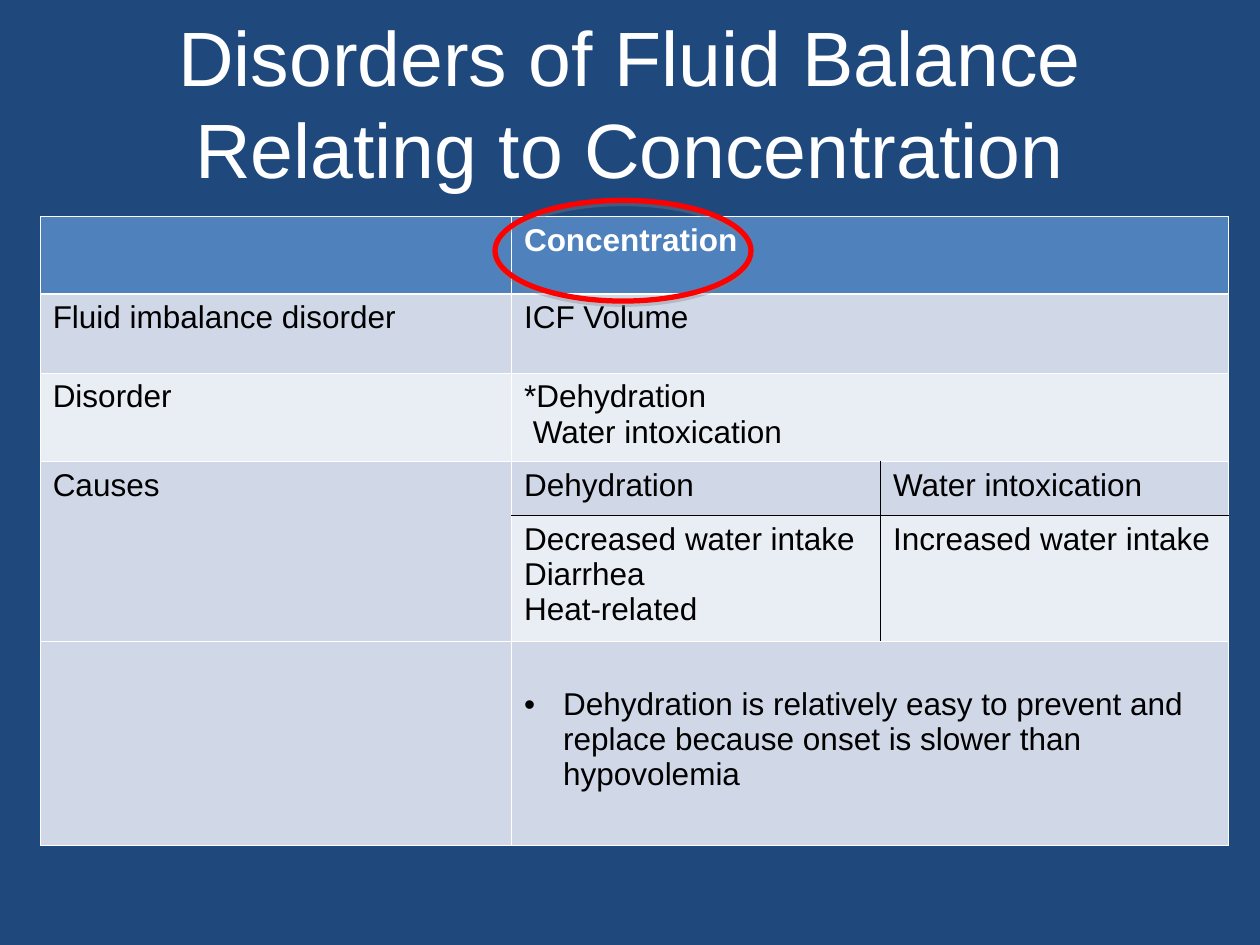
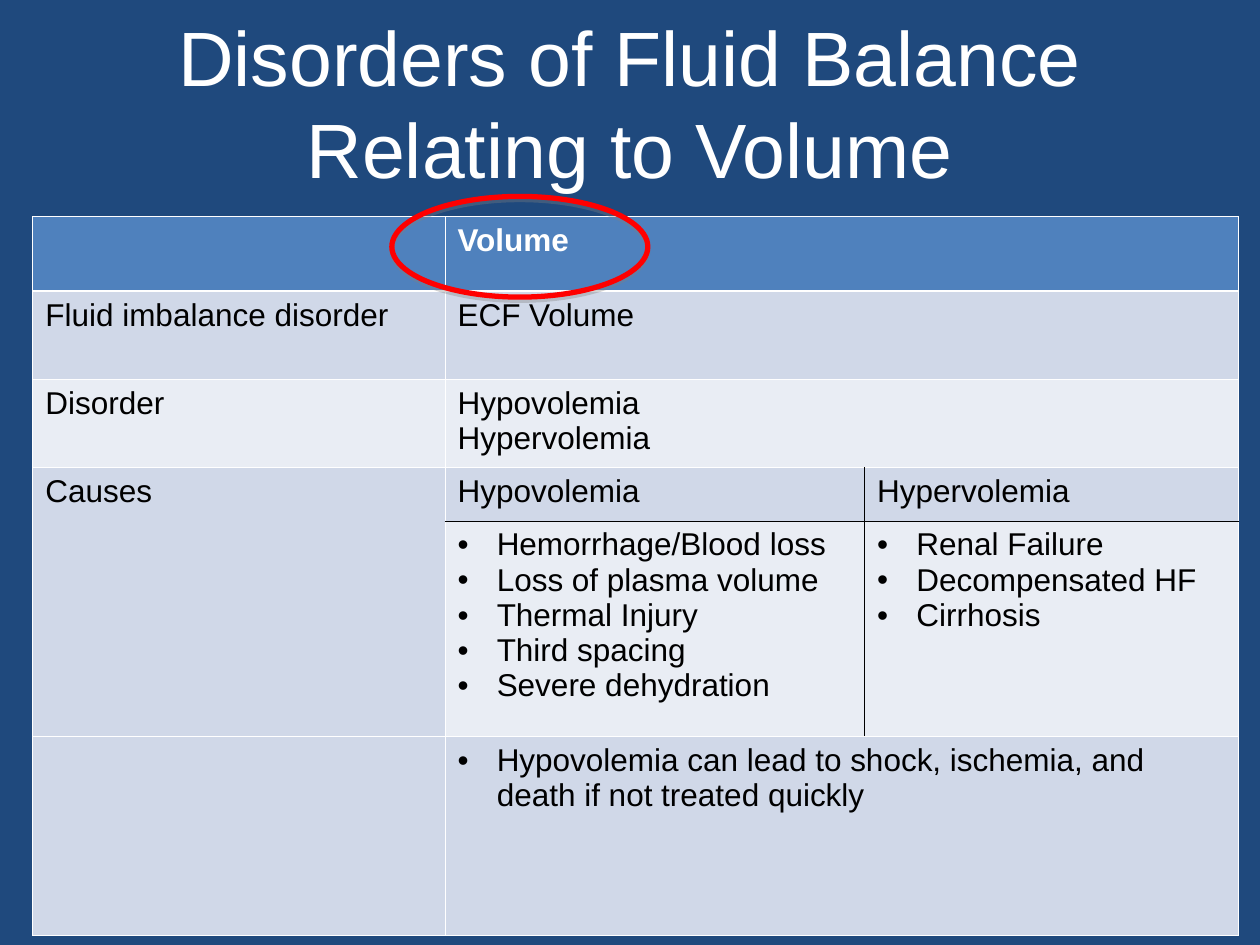
from lxml import etree
from pptx import Presentation
from pptx.dml.color import RGBColor
from pptx.enum.shapes import MSO_SHAPE
from pptx.enum.text import MSO_ANCHOR, MSO_AUTO_SIZE, PP_ALIGN
from pptx.oxml.ns import qn
from pptx.util import Cm, Pt

OVAL = MSO_SHAPE.OVAL
MIDDLE = MSO_ANCHOR.MIDDLE
NO_FIT = MSO_AUTO_SIZE.NONE
CENTER = PP_ALIGN.CENTER

FONT = "Arial"
NAVY, BLUE, WHITE, BLACK = "1F497D", "4F81BD", "FFFFFF", "000000"
RED, GREY = "FF0000", "808080"
BANDS = ("D0D8E8", "E9EDF4")
TITLE_BOX = (1.27, 0.46, 22.86, 3.18)
TABLE_TOP = 4.37
OVAL_SIZE = (5.16, 2.03)
INDENT = 0.79
MERGES = [((0, 1), (0, 2)), ((1, 1), (1, 2)), ((2, 1), (2, 2)),
          ((3, 0), (4, 0)), ((5, 1), (5, 2))]

SLIDES = [
    {
        "title": "Disorders of Fluid Balance Relating to Concentration",
        "left": 0.81,
        "cols": [9.5, 7.44, 7.01],
        "rows": [1.55, 1.6, 1.78, 1.09, 2.54, 4.11],
        "cells": {
            (0, 1): ["Concentration"],
            (1, 0): ["Fluid imbalance disorder"],
            (1, 1): ["ICF Volume"],
            (2, 0): ["Disorder"],
            (2, 1): ["*Dehydration", " Water intoxication"],
            (3, 0): ["Causes"],
            (3, 1): ["Dehydration"],
            (3, 2): ["Water intoxication"],
            (4, 1): ["Decreased water intake", "Diarrhea", "Heat-related"],
            (4, 2): ["Increased water intake"],
            (5, 1): ["Dehydration is relatively easy to prevent and replace "
                     "because onset is slower than hypovolemia"],
        },
        "bulleted": [(5, 1)],
        "note_margin": 0.91,
        "oval": (9.98, 4.04),
    },
    {
        "title": "Disorders of Fluid Balance Relating to Volume",
        "left": 0.66,
        "cols": [8.31, 8.46, 7.54],
        "rows": [1.5, 1.78, 1.78, 1.07, 4.34, 4.01],
        "cells": {
            (0, 1): ["Volume"],
            (1, 0): ["Fluid imbalance disorder"],
            (1, 1): ["ECF Volume"],
            (2, 0): ["Disorder"],
            (2, 1): ["Hypovolemia", "Hypervolemia"],
            (3, 0): ["Causes"],
            (3, 1): ["Hypovolemia"],
            (3, 2): ["Hypervolemia"],
            (4, 1): ["Hemorrhage/Blood loss", "Loss of plasma volume",
                     "Thermal Injury", "Third spacing", "Severe dehydration"],
            (4, 2): ["Renal Failure", "Decompensated HF", "Cirrhosis"],
            (5, 1): ["Hypovolemia can lead to shock, ischemia, and death "
                     "if not treated quickly"],
        },
        "bulleted": [(4, 1), (4, 2), (5, 1)],
        "note_margin": 0.13,
        "oval": (7.9, 3.96),
    },
]


def rgb(color):
    return RGBColor.from_string(color)


def sub(parent, tag, **attrs):
    el = etree.SubElement(parent, qn(tag))
    for name, value in attrs.items():
        el.set(name, str(value))
    return el


def add_run(p, text, size, color, bold=False):
    r = p.add_run()
    r.text = text
    r.font.name = FONT
    r.font.size = Pt(size)
    r.font.bold = bold
    r.font.color.rgb = rgb(color)


def add_bullet(p):
    pPr = p._p.get_or_add_pPr()
    pPr.set("marL", str(Cm(INDENT)))
    pPr.set("indent", str(-Cm(INDENT)))
    sub(sub(pPr, "a:buClr"), "a:srgbClr", val=BLACK)
    sub(pPr, "a:buFont", typeface=FONT)
    sub(pPr, "a:buChar", char="•")


def add_borders(cell, row, col):
    split = row in (3, 4)
    edges = {
        "L": (split and col == 2, 0.45),
        "R": (split and col == 1, 0.45),
        "T": (row == 4 and col > 0, 1.47 if row == 1 else 0.45),
        "B": (row == 3 and col > 0, 1.47 if row == 0 else 0.45),
    }
    tcPr = cell._tc.get_or_add_tcPr()
    for side, (dark, width) in edges.items():
        ln = sub(tcPr, "a:ln" + side, w=Pt(width))
        sub(sub(ln, "a:solidFill"), "a:srgbClr", val=BLACK if dark else WHITE)


def add_title(slide, text):
    sp = slide.shapes.title
    sp.left, sp.top, sp.width, sp.height = map(Cm, TITLE_BOX)
    tf = sp.text_frame
    tf.word_wrap = True
    tf.auto_size = NO_FIT
    tf.vertical_anchor = MIDDLE
    p = tf.paragraphs[0]
    p.alignment = CENTER
    add_run(p, text, 44, WHITE)


def add_disorder_table(slide, data):
    cols, rows = data["cols"], data["rows"]
    table = slide.shapes.add_table(
        len(rows), len(cols), Cm(data["left"]), Cm(TABLE_TOP),
        Cm(sum(cols)), Cm(sum(rows))).table
    table.first_row = table.horz_banding = False
    for column, width in zip(table.columns, cols):
        column.width = Cm(width)
    for i, height in enumerate(rows):
        table.rows[i].height = Cm(height)
        for j in range(len(cols)):
            cell = table.cell(i, j)
            add_borders(cell, i, j)
            cell.fill.solid()
            band = BANDS[1] if i in (2, 4) and (i, j) != (4, 0) else BANDS[0]
            cell.fill.fore_color.rgb = rgb(band if i else BLUE)
            for n, text in enumerate(data["cells"].get((i, j), [])):
                tf = cell.text_frame
                p = tf.add_paragraph() if n else tf.paragraphs[0]
                if (i, j) in data["bulleted"]:
                    add_bullet(p)
                add_run(p, text, 18, BLACK if i else WHITE, i == 0)
    table.cell(5, 1).margin_top = Cm(data["note_margin"])
    for first, last in MERGES:
        table.cell(*first).merge(table.cell(*last))


def add_oval(slide, place):
    sp = slide.shapes.add_shape(OVAL, *map(Cm, place + OVAL_SIZE))
    sp.fill.background()
    sp.line.color.rgb = rgb(RED)
    sp.line.width = Pt(3)
    sp.shadow.inherit = False
    effects = sp._element.spPr.find(qn("a:effectLst"))
    shadow = sub(effects, "a:outerShdw", blurRad=0, dist=Pt(1.8),
                 dir=90 * 60000, rotWithShape=0)
    sub(sub(shadow, "a:srgbClr", val=GREY), "a:alpha", val=35000)


def main():
    prs = Presentation()
    prs.slide_width, prs.slide_height = Cm(25.4), Cm(19.05)
    fill = prs.slide_master.background.fill
    fill.solid()
    fill.fore_color.rgb = rgb(NAVY)
    for data in SLIDES:
        slide = prs.slides.add_slide(prs.slide_layouts[5])
        add_title(slide, data["title"])
        add_disorder_table(slide, data)
        add_oval(slide, data["oval"])
    prs.save("out.pptx")


if __name__ == "__main__":
    main()
